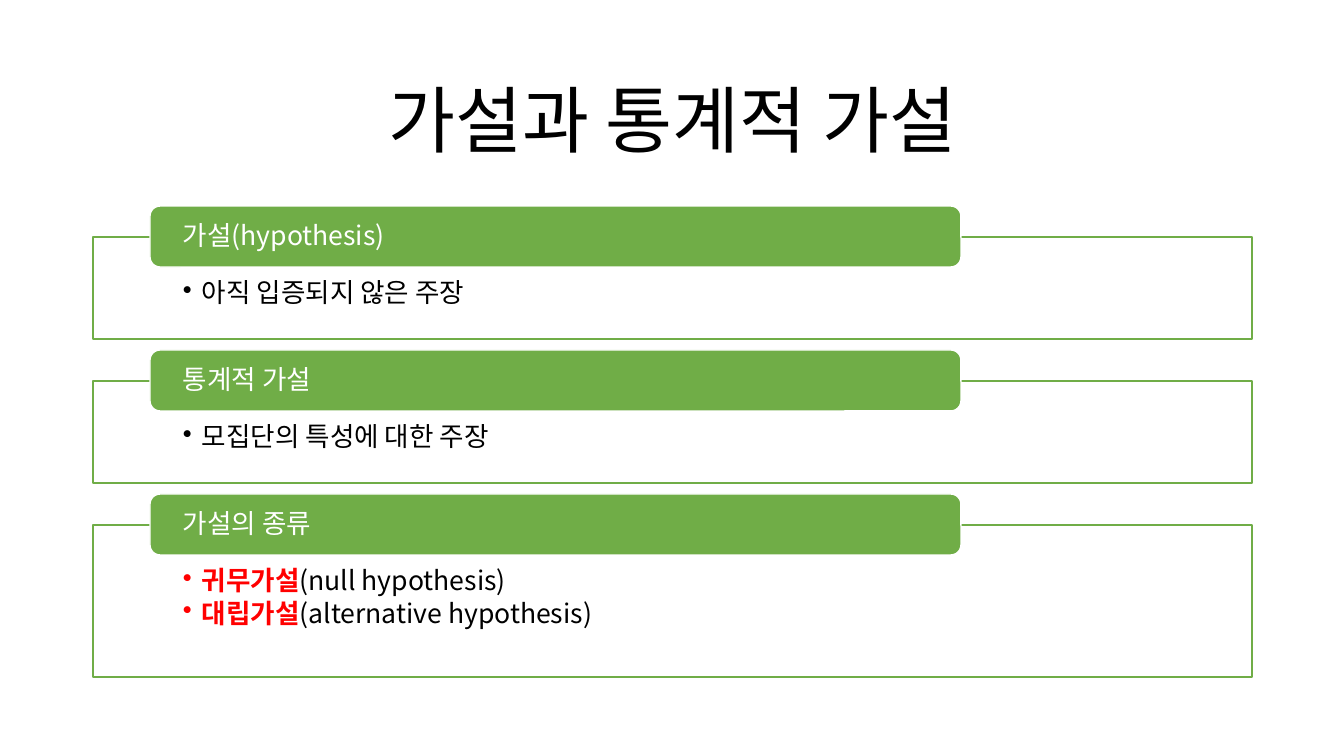
from lxml import etree
from pptx import Presentation
from pptx.dml.color import RGBColor
from pptx.enum.shapes import MSO_SHAPE
from pptx.enum.text import MSO_ANCHOR, PP_ALIGN
from pptx.oxml.ns import qn
from pptx.util import Pt

RECT, ROUND = MSO_SHAPE.RECTANGLE, MSO_SHAPE.ROUNDED_RECTANGLE
TOP, MIDDLE = MSO_ANCHOR.TOP, MSO_ANCHOR.MIDDLE
LEFT, CENTER = PP_ALIGN.LEFT, PP_ALIGN.CENTER
PX = 12192000 / 1344

THEME = {
    "font": "Noto Sans CJK KR",
    "title": 52, "body": 19,
    "black": "000000", "white": "FFFFFF", "green": "70AD47", "red": "FF0000",
}

SECTIONS = [
    ("가설(hypothesis)", 102, [[("아직 입증되지 않은 주장", "black", False)]]),
    ("통계적 가설", 102, [[("모집단의 특성에 대한 주장", "black", False)]]),
    ("가설의 종류", 152, [
        [("귀무가설", "red", True), ("(null hypothesis)", "black", False)],
        [("대립가설", "red", True), ("(alternative hypothesis)", "black", False)],
    ]),
]


def px(n):
    return round(n * PX)


def write(s, paragraphs, size, insets, anchor=MIDDLE, align=LEFT, after=0, bullet=False):
    tf = s.text_frame
    frame = {"word_wrap": True, "vertical_anchor": anchor}
    for side, inset in zip(("left", "top", "right", "bottom"), insets):
        frame[f"margin_{side}"] = px(inset)
    for key, value in frame.items():
        setattr(tf, key, value)
    for i, runs in enumerate(paragraphs):
        p = tf.paragraphs[0] if i == 0 else tf.add_paragraph()
        layout = {"alignment": align, "line_spacing": 0.9, "space_before": Pt(0), "space_after": Pt(after)}
        for key, value in layout.items():
            setattr(p, key, value)
        if bullet:
            pPr = p._p.get_or_add_pPr()
            pPr.set("marL", str(px(19)))
            pPr.set("indent", str(-px(19)))
            etree.SubElement(pPr, qn("a:buChar")).set("char", "•")
        for text, color, bold in runs:
            r = p.add_run()
            r.text = text
            for key, value in {"name": THEME["font"], "size": Pt(size), "bold": bold}.items():
                setattr(r.font, key, value)
            r.font.color.rgb = RGBColor.from_string(THEME[color])
            etree.SubElement(r._r.get_or_add_rPr(), qn("a:ea")).set("typeface", THEME["font"])


prs = Presentation()
prs.slide_width, prs.slide_height = px(1344), px(756)
s = prs.slides.add_slide(prs.slide_layouts[6])

title = s.shapes.add_textbox(px(93), px(61), px(1159), px(125))
write(title, [[("가설과 통계적 가설", "black", False)]], THEME["title"], (10, 5, 10, 5), align=CENTER)

for i, (heading, height, items) in enumerate(SECTIONS):
    top = 237 + 144 * i
    panel = s.shapes.add_shape(RECT, px(93), px(top), px(1159), px(height))
    header = s.shapes.add_shape(ROUND, px(150), px(top - 31), px(811), px(61))
    for sp, fill, line in ((panel, "white", "green"), (header, "green", "white")):
        sp.shadow.inherit = False
        sp.fill.solid()
        sp.fill.fore_color.rgb = RGBColor.from_string(THEME[fill])
        sp.line.color.rgb = RGBColor.from_string(THEME[line])
        sp.line.width = Pt(1)
    panel_color = panel._element.spPr.find(qn("a:solidFill"))[0]
    etree.SubElement(panel_color, qn("a:alpha")).set("val", "90000")
    write(panel, items, THEME["body"], (90, 43, 90, 15), anchor=TOP, after=2.85, bullet=True)
    write(header, [[(heading, "white", False)]], THEME["body"], (30, 0, 30, 0))

prs.save("out.pptx")
